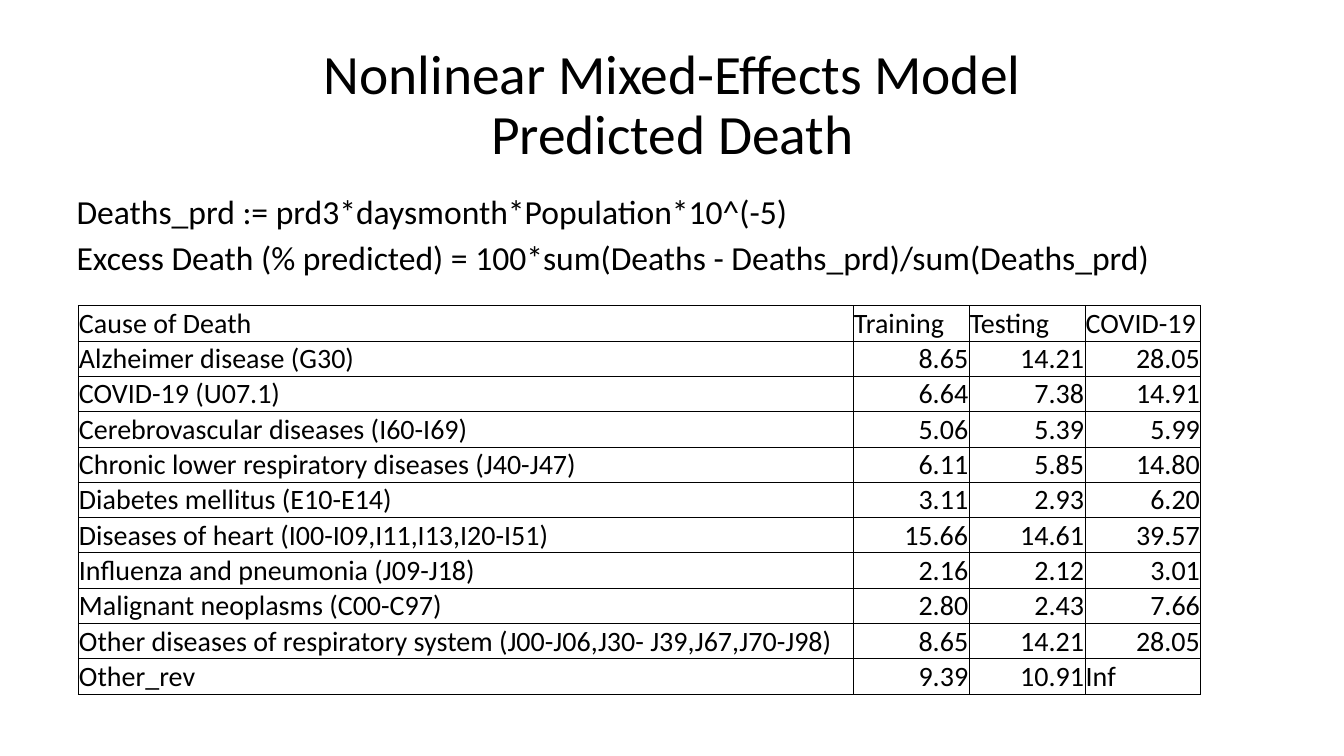
from typing import NamedTuple

from lxml.etree import SubElement
from pptx import Presentation
from pptx.dml.color import RGBColor
from pptx.enum.text import MSO_ANCHOR as Anchor, PP_ALIGN as Align
from pptx.oxml.ns import qn
from pptx.slide import Slide
from pptx.table import _Cell as Cell
from pptx.text.text import _Paragraph as Paragraph
from pptx.util import Cm, Pt

BLACK = RGBColor(0x00, 0x00, 0x00)
FONT = "Calibri"
BORDER_SIDES = ("a:lnL", "a:lnR", "a:lnT", "a:lnB")
COLUMN_WIDTHS = (19.53, 2.92, 2.92, 2.92)
ROW_HEIGHT = 0.89


class TextBlock(NamedTuple):
    left: float
    top: float
    width: float
    height: float
    lines: tuple[str, ...]
    size: float
    line_spacing: float
    align: Align
    anchor: Anchor


class CauseRow(NamedTuple):
    cause: str
    training: str
    testing: str
    covid: str


TITLE = TextBlock(
    2.34, 1.02, 29.21, 3.33,
    ("Nonlinear Mixed-Effects Model\vPredicted Death",),
    39.6, 0.9, Align.CENTER, Anchor.MIDDLE,
)
FORMULAS = TextBlock(
    1.68, 4.88, 29.87, 2.29,
    (
        "Deaths_prd := prd3*daysmonth*Population*10^(-5)",
        "Excess Death (% predicted) = 100*sum(Deaths - Deaths_prd)/sum(Deaths_prd)",
    ),
    24, 0.8, Align.LEFT, Anchor.TOP,
)
CAUSES = (
    CauseRow("Cause of Death", "Training", "Testing", "COVID-19"),
    CauseRow("Alzheimer disease (G30)", "8.65", "14.21", "28.05"),
    CauseRow("COVID-19 (U07.1)", "6.64", "7.38", "14.91"),
    CauseRow("Cerebrovascular diseases (I60-I69)", "5.06", "5.39", "5.99"),
    CauseRow("Chronic lower respiratory diseases (J40-J47)", "6.11", "5.85", "14.80"),
    CauseRow("Diabetes mellitus (E10-E14)", "3.11", "2.93", "6.20"),
    CauseRow("Diseases of heart (I00-I09,I11,I13,I20-I51)", "15.66", "14.61", "39.57"),
    CauseRow("Influenza and pneumonia (J09-J18)", "2.16", "2.12", "3.01"),
    CauseRow("Malignant neoplasms (C00-C97)", "2.80", "2.43", "7.66"),
    CauseRow(
        "Other diseases of respiratory system (J00-J06,J30- J39,J67,J70-J98)",
        "8.65", "14.21", "28.05",
    ),
    CauseRow("Other_rev", "9.39", "10.91", "Inf"),
)


def format_runs(paragraph: Paragraph, size: float) -> None:
    for run in paragraph.runs:
        run.font.name = FONT
        run.font.size = Pt(size)
        run.font.color.rgb = BLACK


def draw_text(slide: Slide, block: TextBlock) -> None:
    box = slide.shapes.add_textbox(
        Cm(block.left), Cm(block.top), Cm(block.width), Cm(block.height)
    )
    frame = box.text_frame
    frame.word_wrap = True
    frame.vertical_anchor = block.anchor
    for index, line in enumerate(block.lines):
        paragraph = frame.add_paragraph() if index else frame.paragraphs[0]
        paragraph.text = line
        paragraph.alignment = block.align
        paragraph.line_spacing = block.line_spacing
        if index:
            paragraph.space_before = Pt(10)
        format_runs(paragraph, block.size)


def add_borders(cell: Cell) -> None:
    properties = cell._tc.get_or_add_tcPr()
    for side in BORDER_SIDES:
        line = SubElement(properties, qn(side), w=str(Pt(0.5)))
        fill = SubElement(line, qn("a:solidFill"))
        SubElement(fill, qn("a:srgbClr"), val=str(BLACK))


def fill_cell(cell: Cell, text: str) -> None:
    cell.margin_left = cell.margin_right = cell.margin_top = Cm(0.02)
    cell.margin_bottom = Cm(0)
    cell.vertical_anchor = Anchor.BOTTOM
    add_borders(cell)
    cell.fill.background()
    cell.text_frame.text = text
    paragraph = cell.text_frame.paragraphs[0]
    # Numbers sit on the right, words on the left
    is_number = text.replace(".", "").isdigit()
    paragraph.alignment = Align.RIGHT if is_number else Align.LEFT
    format_runs(paragraph, 20)


def draw_causes(slide: Slide, causes: tuple[CauseRow, ...]) -> None:
    table = slide.shapes.add_table(
        len(causes), len(COLUMN_WIDTHS), Cm(1.97), Cm(7.7),
        Cm(sum(COLUMN_WIDTHS)), Cm(ROW_HEIGHT * len(causes)),
    ).table
    table.first_row = False
    table.horz_banding = False
    for column, width in zip(table.columns, COLUMN_WIDTHS):
        column.width = Cm(width)
    for row, cause in zip(table.rows, causes):
        row.height = Cm(ROW_HEIGHT)
        for cell, text in zip(row.cells, cause):
            fill_cell(cell, text)


def main() -> None:
    deck = Presentation()
    deck.slide_width, deck.slide_height = Cm(33.87), Cm(19.05)
    slide = deck.slides.add_slide(deck.slide_layouts[6])

    # Title and formulas
    for block in (TITLE, FORMULAS):
        draw_text(slide, block)

    # Excess deaths by cause
    draw_causes(slide, CAUSES)

    deck.save("out.pptx")


if __name__ == "__main__":
    main()
